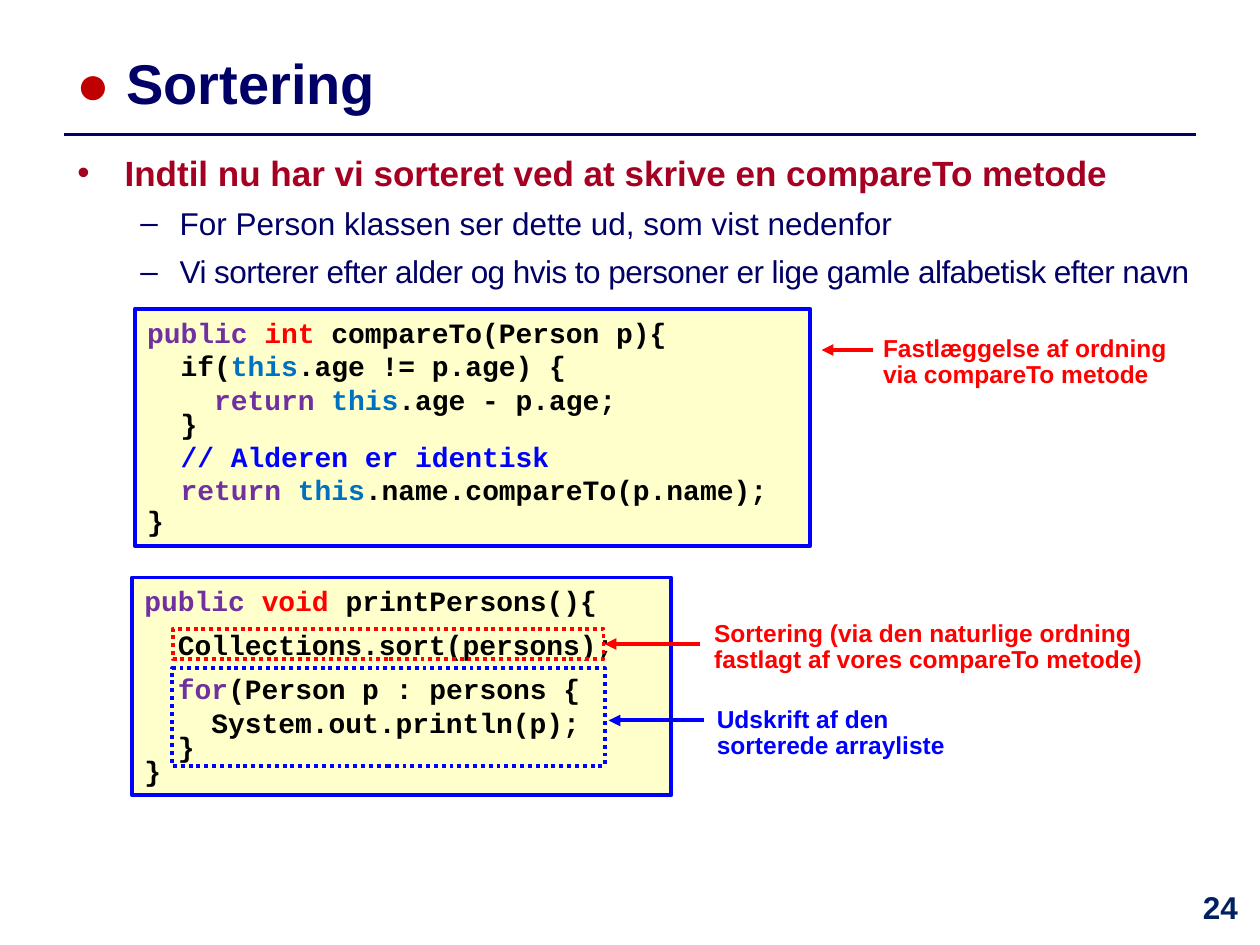
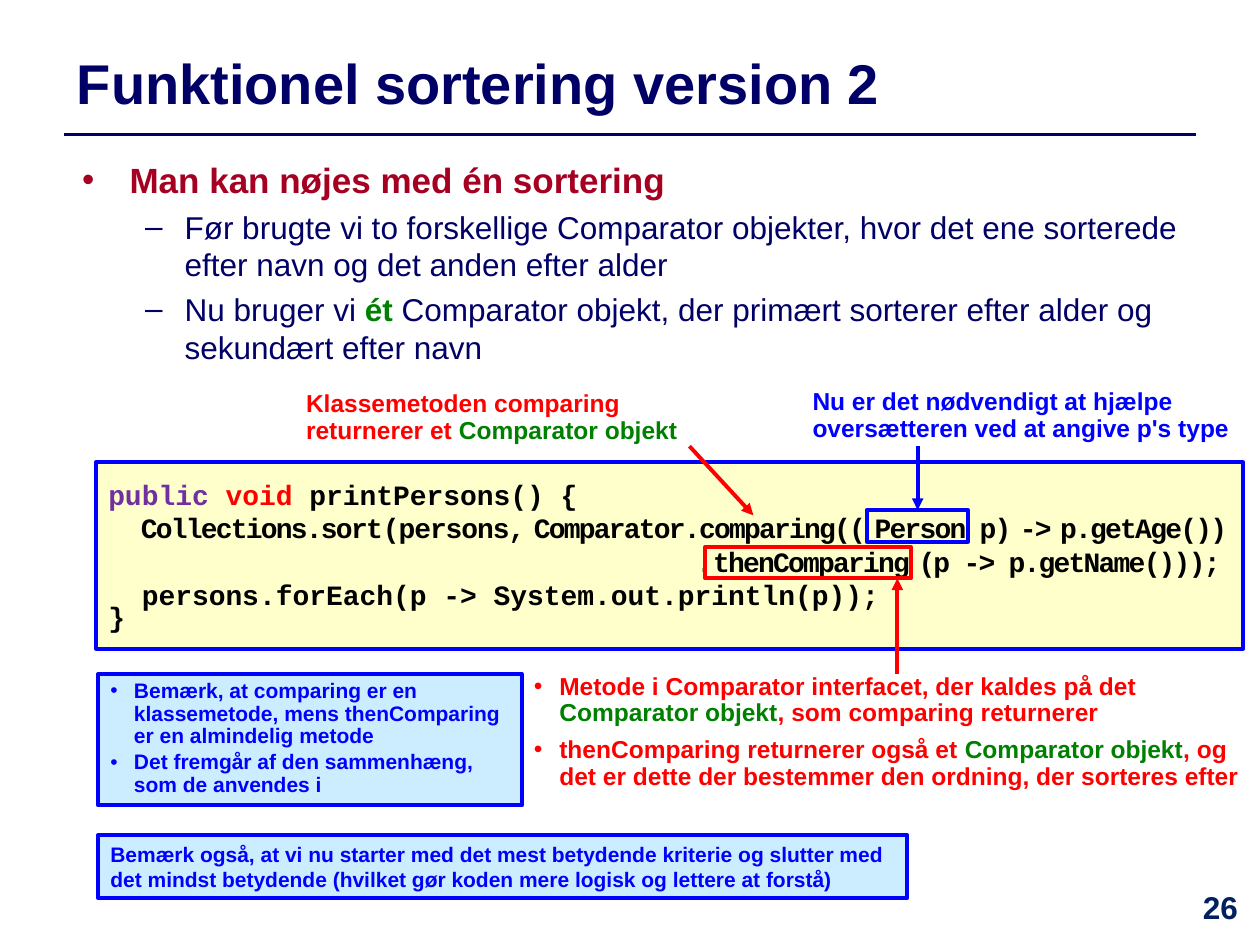
from pptx import Presentation
from pptx.dml.color import RGBColor as Rgb
from pptx.enum.dml import MSO_LINE as Dash
from pptx.enum.shapes import MSO_CONNECTOR as Conn, MSO_SHAPE as Form
from pptx.enum.text import MSO_ANCHOR as Anchor, MSO_AUTO_SIZE as Auto, PP_ALIGN as Align
from pptx.oxml.ns import qn
from pptx.util import Pt
from lxml.etree import SubElement as Sub

HUES = {
    "navy": "000066", "page": "002060", "dot": "C00000", "wine": "A50021",
    "red": "FF0000", "blue": "0000FF", "green": "008000", "black": "000000",
    "purple": "7030A0", "sky": "0070C0", "cream": "FFFFCC", "ice": "CCECFF",
}

# Text styles: font values, then paragraph values
ARIAL = {"name": "Arial", "bold": True}
TITLE = ARIAL | {"size": 32, "hue": "navy"}
PAGE = ARIAL | {"size": 18, "hue": "page", "align": Align.CENTER}
HEAD = ARIAL | {"size": 20, "hue": "wine", "bullet": "•", "left": 27, "hang": 27}
ITEM = {"name": "Arial", "bold": False, "size": 18, "hue": "navy", "level": 1,
        "bullet": "–", "left": 58.5, "hang": 22.5, "before": 6}
NEAR = ITEM | {"before": 4}
CODE = {"name": "Courier New", "bold": True, "size": 16, "hue": "black"}
RED = ARIAL | {"size": 14, "hue": "red", "lead": 0.9, "before": 6}
BLUE = RED | {"hue": "blue"}
POINT = RED | {"bullet": "•", "left": 14.5, "hang": 14.5}
SMALL = ARIAL | {"size": 12, "hue": "blue"}
HINT = SMALL | {"bullet": "•", "left": 13.5, "hang": 13.5, "lead": 0.9, "before": 2}


# Run makers: text with the values that differ from its paragraph
def ink(text, hue):
    return text, {"hue": hue}


def tight(text, gap=-1):
    return text, {"track": gap}


THIN = (" ", {"size": 8, "track": -0.6})
PUBLIC, VOID = ink("public ", "purple"), ink("void ", "red")
RETURN, THIS = ink("return ", "purple"), ink("this", "sky")
OBJECT = ink("Comparator objekt", "green")

# Content: paragraphs are (style, run, run, ...), places are left, top, width, height
SLIDES = [
    {
        "page": "24",
        "title": [(TITLE, ink("● ", "dot"), "Sortering")],
        "body": ((37, 83, 672, 88), [
            (HEAD, "Indtil nu har vi sorteret ved at skrive en compareTo metode"),
            (ITEM, "For Person klassen ser dette ud, som vist nedenfor"),
            (ITEM, tight("Vi sorterer efter alder og hvis to personer er lige gamle "
                         "alfabetisk efter navn", -0.3)),
        ]),
        "panels": [
            ((77, 176.5, 386, 135.5), "cream", 3.6, [
                (CODE, PUBLIC, ink("int ", "red"), "compareTo(Person p){"),
                (CODE, "  if(", THIS, ".age != p.age) {"),
                (CODE, "    ", RETURN, THIS, ".age - p.age;"),
                (CODE | {"lead": 0.7}, "  }"),
                (CODE, "  ", ink("// Alderen er identisk", "blue")),
                (CODE, "  ", RETURN, THIS, ".name.compareTo(p.name);"),
                (CODE | {"lead": 0.7, "before": 3.5}, "}"),
            ]),
            ((75.5, 330, 308, 124.5), "cream", 3.6, [
                (CODE, PUBLIC, VOID, "printPersons(){"),
                (CODE | {"before": 6}, "  Collections.sort(persons);"),
                (CODE | {"before": 6}, "  ", ink("for", "purple"), "(Person p : persons {"),
                (CODE, "    System.out.println(p);"),
                (CODE | {"lead": 0.7}, "  }"),
                (CODE | {"lead": 0.7}, "}"),
            ]),
        ],
        "frames": [
            ((98.7, 359.4, 246.2, 17.3), "red", Dash.ROUND_DOT),
            ((98.5, 381.8, 247, 56), "blue", Dash.ROUND_DOT),
        ],
        "notes": [
            ((401, 351.5, 284, 38), [
                (RED, "Sortering (via den naturlige ordning fastlagt af vores compareTo metode)")]),
            ((402.5, 400.5, 145, 38), [(BLUE, "Udskrift af den sorterede arrayliste")]),
            ((497.5, 188.5, 176.5, 38), [
                (RED, "Fastlæggelse af ordning via compareTo metode")]),
        ],
        "arrows": [
            ((400, 368, 345.5, 368), "red"),
            ((402.5, 411.7, 347.8, 411.7), "blue"),
            ((499, 200, 469.5, 200), "red"),
        ],
    },
    {
        "page": "26",
        "title": [(TITLE, "Funktionel sortering version 2")],
        "body": ((39.8, 87, 672, 127), [
            (HEAD, "Man kan nøjes med én sortering"),
            (NEAR, "Før brugte vi to forskellige Comparator objekter, hvor det ene "
                   "sorterede efter navn og det anden efter alder"),
            (NEAR, "Nu bruger vi ", ("ét", {"hue": "green", "bold": True}),
             " Comparator objekt, der primært sorterer efter alder og sekundært efter navn"),
        ]),
        "panels": [
            ((54.8, 264.2, 655.5, 106.5), "cream", 8.5, [
                (CODE, PUBLIC, VOID, "printPersons() {"),
                (CODE, tight("  ", -0.6), tight("Collections.sort"), tight("(persons,", -0.6),
                 THIN, tight("Comparator.comparing(("), THIN, tight("Person p)"),
                 THIN, tight("->"), THIN, tight("p.getAge())")),
                (CODE | {"left": 336}, tight(".", -0.6), tight("thenComparing"),
                 THIN, tight("(p -> p.getName()));")),
                (CODE, "  persons.forEach(p -> System.out.println(p));"),
                (CODE | {"lead": 0.6}, "}"),
            ]),
            ((56, 385.2, 242.2, 75), "ice", 3.6, [
                (HINT, "Bemærk, at comparing er en klassemetode, mens thenComparing "
                       "er en almindelig metode"),
                (HINT, "Det fremgår af den sammenhæng, som de anvendes i"),
            ]),
            ((56, 477.2, 462.5, 36), "ice", 3.6, [
                (SMALL, "Bemærk også, at vi nu starter med det mest betydende kriterie og "
                        "slutter med det mindst betydende (hvilket gør koden mere logisk "
                        "og lettere at forstå)"),
            ]),
        ],
        "frames": [
            ((403, 312.5, 117.5, 18), "red", None),
            ((495.2, 291.5, 58, 18), "blue", None),
        ],
        "notes": [
            ((298, 381.6, 420, 74), [
                (POINT, "Metode i Comparator interfacet, der kaldes på det ", OBJECT,
                 ", som comparing returnerer"),
                (POINT, "thenComparing returnerer også et ", OBJECT,
                 ", og det er dette der bestemmer den ordning, der sorteres efter"),
            ]),
            ((457.2, 219, 262, 38), [
                (BLUE, "Nu er det nødvendigt at hjælpe oversætteren ved at angive p's type")]),
            ((167.8, 220.3, 234.7, 38), [
                (RED, "Klassemetoden comparing returnerer et ", OBJECT)]),
        ],
        "arrows": [
            ((512.8, 385, 512.8, 330.5), "red"),
            ((524.4, 255, 524.4, 291.5), "blue"),
            ((394, 255, 430.5, 294.5), "red"),
        ],
    },
]


def tint(name):
    return Rgb.from_string(HUES[name])


def pts(place):
    return [Pt(n) for n in place]


# Text
def add_run(para, text, style):
    run = para.add_run()
    run.text = text
    font = {"name": style["name"], "bold": style["bold"], "size": Pt(style["size"])}
    for key, value in font.items():
        setattr(run.font, key, value)
    run.font.color.rgb = tint(style["hue"])
    if "track" in style:
        run._r.get_or_add_rPr().set("spc", str(round(style["track"] * 100)))


def shape_para(para, style, first):
    props = para._p.get_or_add_pPr()
    props.set("marL", str(Pt(style.get("left", 0))))
    props.set("indent", str(-Pt(style.get("hang", 0))))
    if "bullet" in style:
        Sub(props, qn("a:buFont"), typeface="Arial")
        Sub(props, qn("a:buChar"), char=style["bullet"])
    form = {
        "level": style.get("level", 0),
        "alignment": style.get("align", Align.LEFT),
        "line_spacing": style.get("lead", 1.0),
        "space_before": Pt(0 if first else style.get("before", 0)),
    }
    for key, value in form.items():
        setattr(para, key, value)


def write(shape, paras, pad=3.6, anchor=Anchor.TOP):
    frame = shape.text_frame
    form = {
        "word_wrap": True, "auto_size": Auto.NONE, "vertical_anchor": anchor,
        "margin_left": Pt(7.2), "margin_right": Pt(7.2),
        "margin_top": Pt(pad), "margin_bottom": Pt(pad),
    }
    for key, value in form.items():
        setattr(frame, key, value)
    for i, (style, *runs) in enumerate(paras):
        para = frame.add_paragraph() if i else frame.paragraphs[0]
        shape_para(para, style, i == 0)
        for run in runs:
            text, extra = (run, {}) if isinstance(run, str) else run
            add_run(para, text, style | extra)


# Parts
def fill_holder(holder, place, paras, anchor=Anchor.TOP):
    holder.left, holder.top, holder.width, holder.height = pts(place)
    write(holder, paras, anchor=anchor)


def add_text(slide, place, paras):
    write(slide.shapes.add_textbox(*pts(place)), paras)


def add_rect(slide, place, edge, fill=None, dash=None):
    rect = slide.shapes.add_shape(Form.RECTANGLE, *pts(place))
    rect.shadow.inherit = False
    if fill:
        rect.fill.solid()
        rect.fill.fore_color.rgb = tint(fill)
    else:
        rect.fill.background()
    rect.line.color.rgb = tint(edge)
    rect.line.width = Pt(2.25)
    if dash:
        rect.line.dash_style = dash
    return rect


def add_line(slide, ends, hue, width=2.25, arrow=True):
    line = slide.shapes.add_connector(Conn.STRAIGHT, *pts(ends))
    line.line.color.rgb = tint(hue)
    line.line.width = Pt(width)
    if arrow:
        Sub(line.line._get_or_add_ln(), qn("a:tailEnd"), type="triangle")
    Sub(line._element.spPr, qn("a:effectLst"))


def build(deck, data):
    slide = deck.slides.add_slide(deck.slide_layouts[1])
    # Shared: title, rule and page number
    add_line(slide, (36.7, 77, 683.3, 77), "navy", 2, arrow=False)
    fill_holder(slide.shapes.title, (36.7, 20, 646.6, 54), data["title"], Anchor.MIDDLE)
    add_text(slide, (671.8, 504, 51, 36), [(PAGE, data["page"])])
    # Own content
    fill_holder(slide.placeholders[1], *data["body"])
    for place, fill, pad, paras in data["panels"]:
        write(add_rect(slide, place, "blue", fill), paras, pad)
    for place, hue, dash in data["frames"]:
        add_rect(slide, place, hue, dash=dash)
    for place, paras in data["notes"]:
        add_text(slide, place, paras)
    for ends, hue in data["arrows"]:
        add_line(slide, ends, hue)


def main():
    deck = Presentation()
    deck.slide_width, deck.slide_height = Pt(720), Pt(540)
    for data in SLIDES:
        build(deck, data)
    deck.save("out.pptx")


if __name__ == "__main__":
    main()
